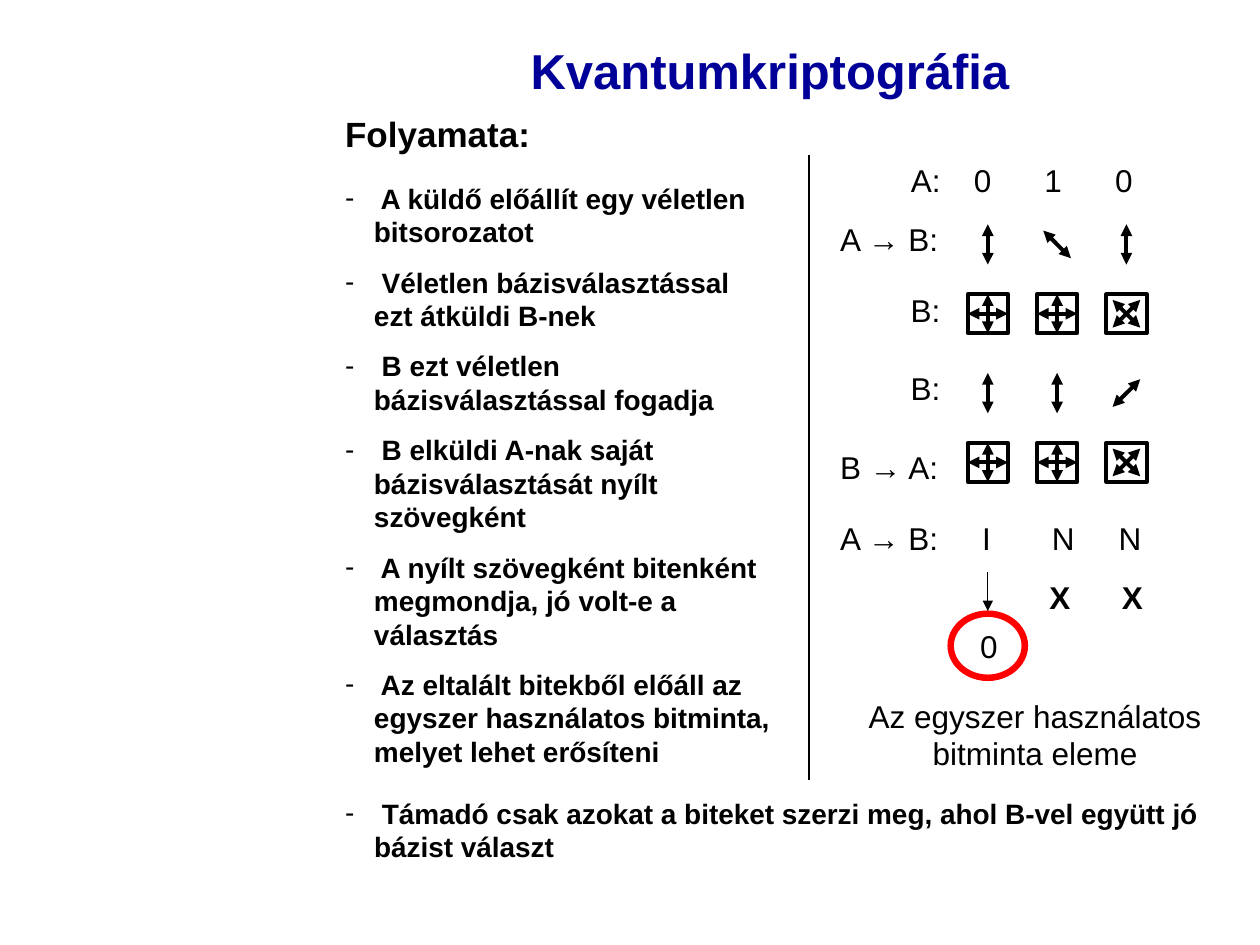
from lxml import etree
from pptx import Presentation
from pptx.dml.color import RGBColor
from pptx.enum.shapes import MSO_CONNECTOR, MSO_SHAPE
from pptx.enum.text import MSO_ANCHOR, PP_ALIGN
from pptx.oxml.ns import qn
from pptx.util import Inches, Pt

LEFT, CENTER = PP_ALIGN.LEFT, PP_ALIGN.CENTER
TOP, MIDDLE = MSO_ANCHOR.TOP, MSO_ANCHOR.MIDDLE
STRAIGHT = MSO_CONNECTOR.STRAIGHT
RECT, DONUT = MSO_SHAPE.RECTANGLE, MSO_SHAPE.DONUT

THEME = {
    "font": "Arial", "ink": RGBColor(0, 0, 0), "title": RGBColor(0, 0, 0x99),
    "mark": RGBColor(0xFF, 0, 0), "title_pt": 28, "head_pt": 20, "body_pt": 16,
    "label_pt": 18, "thin": 0.75, "thick": 2.25, "gap": 9.5,
}

# Content
TITLE = "Kvantumkriptográfia"
HEADING = "Folyamata:"
STEPS = [
    " A küldő előállít egy véletlen bitsorozatot",
    " Véletlen bázisválasztással ezt átküldi B-nek",
    " B ezt véletlen bázisválasztással fogadja",
    " B elküldi A-nak saját bázisválasztását nyílt szövegként",
    " A nyílt szövegként bitenként megmondja, jó volt-e a választás",
    " Az eltalált bitekből előáll az egyszer használatos bitminta, melyet lehet erősíteni",
]
ATTACK = [" Támadó csak azokat a biteket szerzi meg, ahol B-vel együtt jó bázist választ"]
RESULT = "Az egyszer használatos bitminta eleme"

# Plain labels: text, left, top, width
LABELS = [
    ("A → B:", 6.57, 1.7, 1.05),
    ("B:", 7.13, 2.26, 0.5),
    ("B:", 7.13, 2.88, 0.5),
    ("B → A:", 6.57, 3.51, 1.05),
    ("0", 7.68, 4.93, 0.36),
]
# Rows with columns: cells, left, top, bold, centres of the cells after the first
TABBED = [
    (["A:", "0", "1", "0"], 7.13, 1.23, False, [7.8, 8.36, 8.92]),
    (["A → B:", "I", "N", "N"], 6.57, 4.07, False, [7.83, 8.44, 8.97]),
    (["X", "X"], 8.23, 4.54, True, [8.99]),
]
TABBED_RIGHT = 9.25

# Polarisation directions as half extents (dx, dy)
DIRECTIONS = {"|": (0, 0.16), "\\": (0.11, 0.11), "/": (-0.11, 0.11)}
COLUMNS = [7.84, 8.39, 8.94]
PHOTONS = [(1.94, "|\\|"), (3.12, "||/")]
BASES = [(2.49, "++x"), (3.67, "++x")]
BOX_W, BOX_H = 0.32, 0.31
RING_W, RING_H = 0.63, 0.55

prs = Presentation()
prs.slide_width, prs.slide_height = Inches(10), Inches(7.5)
s = prs.slides.add_slide(prs.slide_layouts[6])


def add_text(paragraphs, x, y, w, h, size=THEME["label_pt"], bold=False,
             color=THEME["ink"], align=LEFT, anchor=TOP, bullet=False, tabs=()):
    tf = s.shapes.add_textbox(Inches(x), Inches(y), Inches(w), Inches(h)).text_frame
    tf.word_wrap, tf.vertical_anchor = True, anchor
    for i, text in enumerate(paragraphs):
        p = tf.paragraphs[0] if i == 0 else tf.add_paragraph()
        p.alignment = align
        p.space_before = Pt(THEME["gap"] if i else 0)
        r = p.add_run()
        r.text = text
        r.font.name, r.font.size, r.font.bold = THEME["font"], Pt(size), bold
        r.font.color.rgb = color
        pPr = p._p.get_or_add_pPr()
        if bullet:
            pPr.set("marL", str(Inches(0.23)))
            pPr.set("indent", str(-Inches(0.23)))
            etree.SubElement(pPr, qn("a:buFont"), typeface=THEME["font"])
            etree.SubElement(pPr, qn("a:buChar"), char="-")
        if tabs:
            tab_list = etree.SubElement(pPr, qn("a:tabLst"))
            for pos in tabs:
                etree.SubElement(tab_list, qn("a:tab"), pos=str(Inches(pos)), algn="ctr")


def add_line(x1, y1, x2, y2, width=THEME["thick"], arrows=("headEnd", "tailEnd")):
    c = s.shapes.add_connector(STRAIGHT, Inches(x1), Inches(y1), Inches(x2), Inches(y2))
    c.line.color.rgb, c.line.width = THEME["ink"], Pt(width)
    for end in arrows:
        etree.SubElement(c.line._get_or_add_ln(), qn("a:" + end), type="triangle")
    etree.SubElement(c._element.spPr, qn("a:effectLst"))
    return c


def add_outline(kind, x, y, w, h, color, width):
    sp = s.shapes.add_shape(kind, Inches(x), Inches(y), Inches(w), Inches(h))
    sp.shadow.inherit = False
    sp.fill.background()
    sp.line.color.rgb, sp.line.width = color, Pt(width)
    return sp


def add_photon(cx, cy, direction):
    dx, dy = DIRECTIONS[direction]
    add_line(cx - dx, cy - dy, cx + dx, cy + dy)


def add_basis(cx, cy, basis):
    box = add_outline(RECT, cx - BOX_W / 2, cy - BOX_H / 2, BOX_W, BOX_H,
                      THEME["ink"], THEME["thick"])
    if basis == "x":
        for direction in "/\\":
            add_photon(cx, cy, direction)
    else:
        for start, end in ((0, 2), (1, 3)):
            c = add_line(cx, cy, cx, cy)
            c.begin_connect(box, start)
            c.end_connect(box, end)


# Title, heading and steps
add_text([TITLE], 2.72, 0.21, 6.78, 0.69, size=THEME["title_pt"], bold=True,
         color=THEME["title"], align=CENTER, anchor=MIDDLE)
add_text([HEADING], 2.64, 0.84, 6.85, 0.44, size=THEME["head_pt"], bold=True)
for items, y, w, h in ((STEPS, 1.39, 3.6, 4.77), (ATTACK, 6.27, 7.09, 0.9)):
    add_text(items, 2.64, y, w, h, size=THEME["body_pt"], bold=True, bullet=True)

# Divider
add_line(6.42, 1.23, 6.42, 6.19, THEME["thin"], ())

# Protocol labels
for text, x, y, w in LABELS:
    add_text([text], x, y, w, 0.4)
for cells, x, y, bold, centres in TABBED:
    add_text(["\t".join(cells)], x, y, TABBED_RIGHT - x, 0.4, bold=bold,
             tabs=[cx - x - 0.1 for cx in centres])

# Photons and bases
for rows, draw in ((PHOTONS, add_photon), (BASES, add_basis)):
    for cy, symbols in rows:
        for cx, symbol in zip(COLUMNS, symbols):
            draw(cx, cy, symbol)

# Resulting bit
ring = add_outline(DONUT, COLUMNS[0] - RING_W / 2, 4.85, RING_W, RING_H,
                   THEME["mark"], THEME["thin"])
ring.adjustments[0] = 0.075
ring.fill.solid()
ring.fill.fore_color.rgb = THEME["mark"]
arrow = add_line(COLUMNS[0], 4.54, COLUMNS[0], 4.85, THEME["thin"], ("tailEnd",))
arrow.end_connect(ring, 0)
add_text([RESULT], 6.43, 5.48, 3.57, 0.7, align=CENTER)

prs.save("out.pptx")
